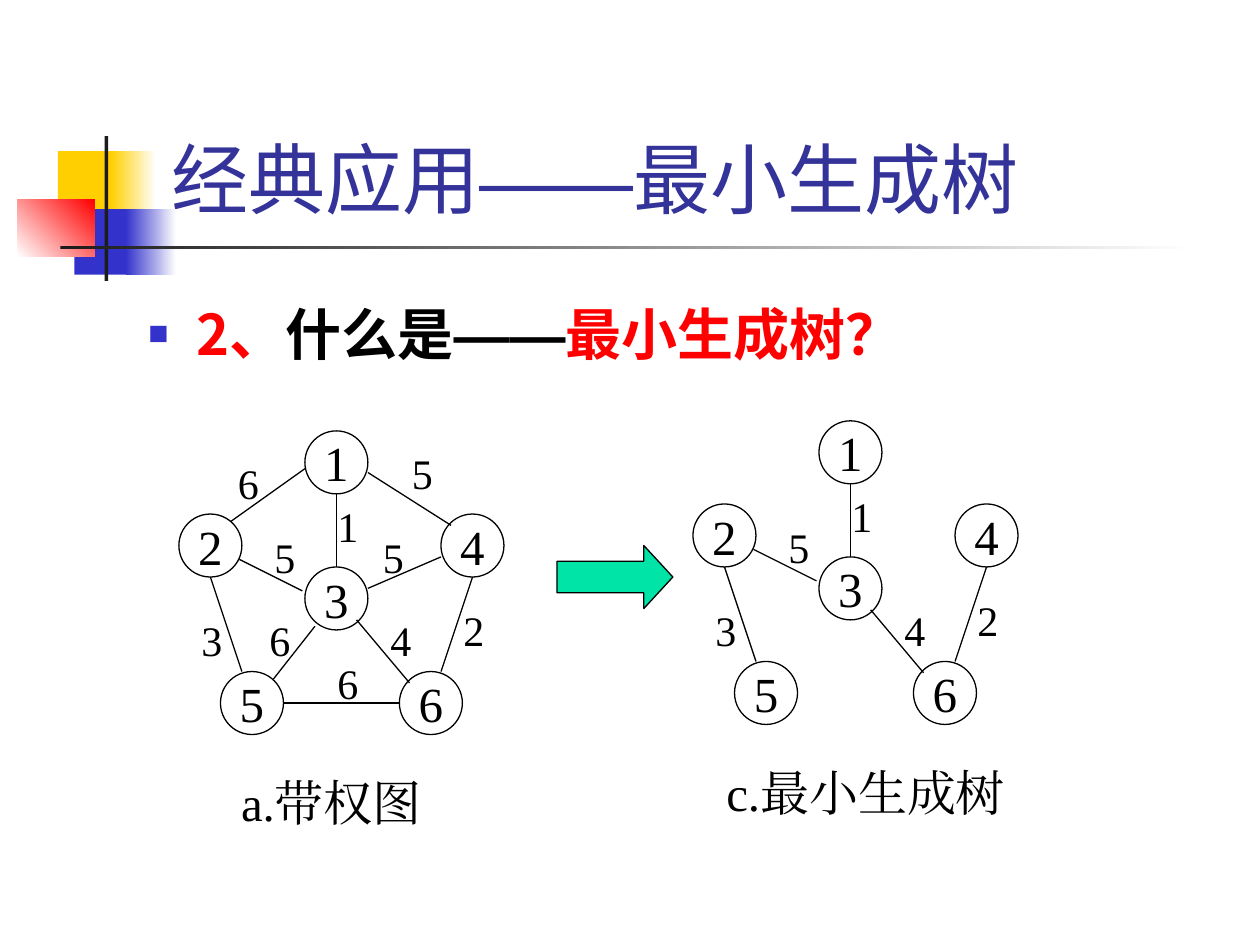
"""Build a slide that shows a weighted graph beside its minimum spanning tree."""
from lxml import etree
from pptx import Presentation
from pptx.dml.color import RGBColor
from pptx.enum.shapes import MSO_CONNECTOR, MSO_SHAPE
from pptx.enum.text import MSO_ANCHOR, MSO_AUTO_SIZE, PP_ALIGN
from pptx.oxml.ns import qn
from pptx.util import Inches, Pt

BLACK = RGBColor(0x00, 0x00, 0x00)
CHARCOAL = RGBColor(0x1C, 0x1C, 0x1C)
WHITE = RGBColor(0xFF, 0xFF, 0xFF)
YELLOW = RGBColor(0xFF, 0xCF, 0x01)
BLUE = RGBColor(0x33, 0x33, 0xCC)
NAVY = RGBColor(0x33, 0x33, 0x99)
RED = RGBColor(0xFF, 0x00, 0x00)
GREEN = RGBColor(0x00, 0xE4, 0xA8)
SERIF, SANS, HEADING, CJK = "Times New Roman", "Arial", "Karla", "Noto Sans CJK SC"


def write(shape, runs, size, bold=False, frame_format=None, paragraph_format=None):
    frame = shape.text_frame
    paragraph = frame.paragraphs[0]
    for target, values in ((frame, frame_format), (paragraph, paragraph_format)):
        for name, value in (values or {}).items():
            setattr(target, name, value)
    for text, face, color in runs:
        run = paragraph.add_run()
        run.text = text
        for name, value in {"name": face, "size": Pt(size), "bold": bold}.items():
            setattr(run.font, name, value)
        run.font.color.rgb = color
        etree.SubElement(run.font._element, qn("a:ea"), typeface=face)
    return paragraph


def add_box(shapes, kind, left, top, width, height):
    shape = shapes.add_shape(kind, Inches(left), Inches(top), Inches(width), Inches(height))
    shape.shadow.inherit = False
    shape.line.color.rgb = BLACK
    shape.line.width = Pt(0.75)
    return shape


presentation = Presentation()
presentation.slide_width, presentation.slide_height = Inches(10), Inches(7.5)
slide = presentation.slides.add_slide(presentation.slide_layouts[5])

for place, colors, angle in (
    ((0.46, 1.2, 0.48, 0.52), [YELLOW], 0),
    ((0.88, 1.2, 0.36, 0.52), [YELLOW, WHITE], 0),
    ((0.59, 1.66, 0.46, 0.52), [BLUE], 0),
    ((1, 1.66, 0.4, 0.52), [BLUE, WHITE], 0),
    ((0.14, 1.58, 0.61, 0.46), [WHITE, RED], 45),
    ((0.83, 1.08, 0.03, 1.15), [CHARCOAL], 0),
    ((0.48, 1.95, 9, 0.03), [CHARCOAL, WHITE], 0),
):
    ornament = add_box(slide.shapes, MSO_SHAPE.RECTANGLE, *place)
    ornament.line.fill.background()
    if len(colors) == 1:
        ornament.fill.solid()
        ornament.fill.fore_color.rgb = colors[0]
    else:
        ornament.fill.gradient()
        ornament.fill.gradient_angle = angle
        for stop, color in zip(ornament.fill.gradient_stops, colors):
            stop.color.rgb = color

heading = slide.shapes.title
heading.left, heading.top = Inches(1.26), Inches(0.23)
heading.width, heading.height = Inches(8.52), Inches(1.6)
write(heading,
      [("经典应用", HEADING, NAVY), ("——", SANS, NAVY), ("最小生成树", HEADING, NAVY)], 44,
      frame_format={"vertical_anchor": MSO_ANCHOR.BOTTOM, "auto_size": MSO_AUTO_SIZE.NONE},
      paragraph_format={"alignment": PP_ALIGN.LEFT})

question = slide.shapes.add_textbox(Inches(1.08), Inches(2.33), Inches(6.5), Inches(0.83))
question_line = write(
    question,
    [("2、", CJK, RED), ("什么是", CJK, BLACK), ("——", SANS, BLACK), ("最小生成树？", CJK, RED)],
    32, bold=True, frame_format={"word_wrap": True}, paragraph_format={"space_before": Pt(8)})
bullet_format = question_line._p.get_or_add_pPr()
bullet_format.set("marL", str(Inches(0.38)))
bullet_format.set("indent", str(-Inches(0.38)))
bullet_color = etree.SubElement(bullet_format, qn("a:buClr"))
etree.SubElement(bullet_color, qn("a:srgbClr"), val=str(BLUE))
etree.SubElement(bullet_format, qn("a:buSzPct"), val="60000")
etree.SubElement(bullet_format, qn("a:buFont"), typeface=SANS)
etree.SubElement(bullet_format, qn("a:buChar"), char="■")

NODES = {"1": (2.42, 3.42), "2": (1.42, 4.08), "3": (2.42, 4.5),
         "4": (3.5, 4.08), "5": (1.75, 5.33), "6": (3.17, 5.33)}
TREE_EDGES = [
    ((2.67, 4.5), (2.67, 3.92), "1", (2.58, 3.92)),
    ((1.9, 4.44), (2.4, 4.69), "5", (2.08, 4.17)),
    ((1.92, 5.33), (1.67, 4.58), "3", (1.5, 4.83)),
    ((2.83, 4.92), (3.25, 5.42), "4", (3, 4.83)),
    ((3.5, 5.33), (3.75, 4.58), "2", (3.58, 4.75)),
]
OTHER_EDGES = [
    ((1.83, 4.14), (2.42, 3.72), "6", (1.79, 3.58)),
    ((2.92, 3.75), (3.58, 4.17), "5", (3.17, 3.5)),
    ((2.92, 4.67), (3.5, 4.42), "5", (2.94, 4.17)),
    ((2.17, 5.39), (2.5, 4.97), "6", (2.04, 4.83)),
    ((2.25, 5.58), (3.17, 5.58), "6", (2.58, 5.17)),
]

for right, down, edges in ((0, 0, TREE_EDGES + OTHER_EDGES), (4.08, -0.08, TREE_EDGES)):
    graph = slide.shapes.add_group_shape().shapes
    for number, (left, top) in NODES.items():
        node = add_box(graph, MSO_SHAPE.OVAL, left + right, top + down, 0.5, 0.5)
        node.fill.background()
        write(node, [(number, SERIF, BLACK)], 28,
              frame_format={"vertical_anchor": MSO_ANCHOR.MIDDLE, "word_wrap": False},
              paragraph_format={"alignment": PP_ALIGN.CENTER})
    for start, end, weight, (left, top) in edges:
        edge = graph.add_connector(
            MSO_CONNECTOR.STRAIGHT,
            Inches(start[0] + right), Inches(start[1] + down),
            Inches(end[0] + right), Inches(end[1] + down))
        edge.line.color.rgb = BLACK
        edge.line.width = Pt(0.75)
        etree.SubElement(edge._element.spPr, qn("a:effectLst"))
        weight_label = graph.add_textbox(
            Inches(left + right), Inches(top + down), Inches(0.33), Inches(0.5))
        write(weight_label, [(weight, SERIF, BLACK)], 24,
              frame_format={"word_wrap": True, "auto_size": MSO_AUTO_SIZE.SHAPE_TO_FIT_TEXT},
              paragraph_format={"alignment": PP_ALIGN.CENTER, "space_before": Pt(15)})

arrow = add_box(slide.shapes, MSO_SHAPE.RIGHT_ARROW, 4.42, 4.33, 0.92, 0.5)
arrow.fill.solid()
arrow.fill.fore_color.rgb = GREEN
arrow.adjustments[1] = 0.46

for text, left, top, width in (("a.带权图", 1.67, 6.08, 1.92), ("c.最小生成树", 5.58, 6, 2.58)):
    caption = slide.shapes.add_textbox(Inches(left), Inches(top), Inches(width), Inches(0.57))
    write(caption, [(text, SERIF, BLACK)], 28,
          frame_format={"word_wrap": True, "auto_size": MSO_AUTO_SIZE.SHAPE_TO_FIT_TEXT},
          paragraph_format={"alignment": PP_ALIGN.CENTER, "space_before": Pt(17.5)})

presentation.save("out.pptx")
